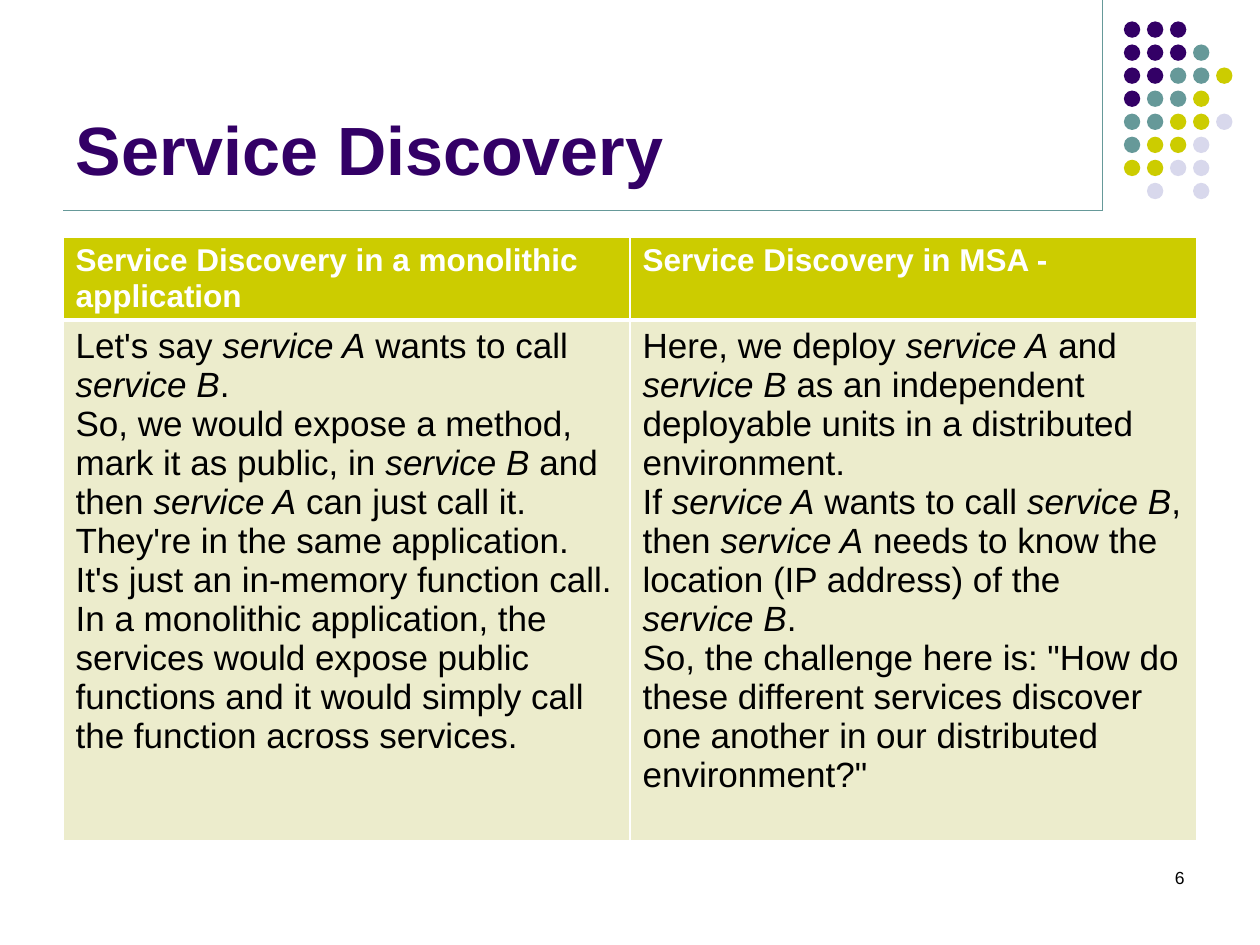
from dataclasses import dataclass

import pptx
import pptx.dml.color
import pptx.enum.shapes
import pptx.enum.text
import pptx.oxml
import pptx.oxml.ns
import pptx.util
from pptx.util import Inches


@dataclass(frozen=True)
class Theme:
    font: str = "Arial"
    purple: str = "330066"
    teal: str = "669999"
    lime: str = "CCCC00"
    lavender: str = "D8D8EC"
    pale_lime: str = "ECECCC"
    white: str = "FFFFFF"
    black: str = "000000"
    title_size: float = 39
    header_size: float = 18
    body_size: float = 20
    number_size: float = 10


@dataclass(frozen=True)
class TextStyle:
    size: float
    color: str
    bold: bool = False


@dataclass(frozen=True)
class Column:
    heading: str
    paragraphs: tuple[str, ...]


THEME = Theme()
TITLE = TextStyle(THEME.title_size, THEME.purple, True)
HEADER = TextStyle(THEME.header_size, THEME.white, True)
BODY = TextStyle(THEME.body_size, THEME.black)
NUMBER = TextStyle(THEME.number_size, THEME.black)

# Asterisks enclose italic words; a newline is a line break.
COLUMNS = (
    Column("Service Discovery in a monolithic application", (
        "Let's say *service A* wants to call *service B*.",
        "So, we would expose a method, mark it as public, in *service B* and then "
        "*service A* can just call it. They're in the same application. "
        "It's just an in-memory function call.",
        "In a monolithic application, the services would expose public functions "
        "and it would simply call the function across services.",
    )),
    Column("Service Discovery in MSA -", (
        "Here, we deploy *service A* and *service B* as an independent deployable "
        "units in a distributed environment.",
        "If *service A* wants to call *service B*, then *service A* needs to know "
        "the location (IP address) of the \n*service B*.",
        "So, the challenge here is: \"How do these different services discover one "
        "another in our distributed environment?\"",
    )),
)

# One letter per dot, a space where the grid is empty.
DOT_ROWS = ("PPP", "PPPT", "PPTTL", "PTTL", "TTLLV", "TLLV", "LLVV", " V V")
DOT_COLORS = {"P": THEME.purple, "T": THEME.teal, "L": THEME.lime, "V": THEME.lavender}
DOT_LEFT, DOT_TOP, DOT_SIZE, DOT_PITCH = 8.92, 0.17, 0.13, 0.183

RULE_X, RULE_Y, MARGIN = 8.75, 1.67, 0.5
ROW_HEIGHTS = (0.65, 4.13)


def rgb(color: str) -> pptx.dml.color.RGBColor:
    return pptx.dml.color.RGBColor.from_string(color)


def add_text(paragraph, text: str, style: TextStyle) -> None:
    """Add runs to a paragraph, italic between asterisks."""
    for index, piece in enumerate(text.split("*")):
        for line_index, line in enumerate(piece.split("\n")):
            if line_index:
                paragraph.add_line_break()
            if not line:
                continue
            run = paragraph.add_run()
            run.text = line
            run.font.name = THEME.font
            run.font.size = pptx.util.Pt(style.size)
            run.font.bold = style.bold
            run.font.italic = index % 2 == 1
            run.font.color.rgb = rgb(style.color)


def add_rule(slide, x1: float, y1: float, x2: float, y2: float) -> None:
    rule = slide.shapes.add_connector(
        pptx.enum.shapes.MSO_CONNECTOR.STRAIGHT,
        Inches(x1), Inches(y1), Inches(x2), Inches(y2))
    rule.line.color.rgb = rgb(THEME.teal)
    rule.line.width = pptx.util.Pt(0.75)
    rule._element.spPr.append(pptx.oxml.parse_xml(
        f"<a:effectLst {pptx.oxml.ns.nsdecls('a')}/>"))


def add_dots(slide) -> None:
    dots = slide.shapes.add_group_shape()
    for row, letters in enumerate(DOT_ROWS):
        for column, letter in enumerate(letters):
            if letter == " ":
                continue
            dot = dots.shapes.add_shape(
                pptx.enum.shapes.MSO_SHAPE.OVAL,
                Inches(DOT_LEFT + column * DOT_PITCH), Inches(DOT_TOP + row * DOT_PITCH),
                Inches(DOT_SIZE), Inches(DOT_SIZE))
            dot.shadow.inherit = False
            dot.fill.solid()
            dot.fill.fore_color.rgb = rgb(DOT_COLORS[letter])
            dot.line.fill.background()


def style_cell(cell, fill: str, top: float, bottom: float) -> None:
    """Fill a cell and give it white borders; top and bottom are in points."""
    for side, width in (("L", 1), ("R", 1), ("T", top), ("B", bottom)):
        cell._tc.get_or_add_tcPr().append(pptx.oxml.parse_xml(
            f"<a:ln{side} {pptx.oxml.ns.nsdecls('a')} w=\"{pptx.util.Pt(width)}\">"
            f"<a:solidFill><a:srgbClr val=\"{THEME.white}\"/></a:solidFill></a:ln{side}>"))
    cell.fill.solid()
    cell.fill.fore_color.rgb = rgb(fill)


def add_comparison(slide) -> None:
    table = slide.shapes.add_table(
        len(ROW_HEIGHTS), len(COLUMNS), Inches(MARGIN), Inches(1.88),
        Inches(9), Inches(sum(ROW_HEIGHTS))).table
    for row, height in zip(table.rows, ROW_HEIGHTS):
        row.height = Inches(height)
    for index, column in enumerate(COLUMNS):
        heading, body = table.cell(0, index), table.cell(1, index)
        style_cell(heading, THEME.lime, 1, 3)
        style_cell(body, THEME.pale_lime, 3, 1)
        add_text(heading.text_frame.paragraphs[0], column.heading, HEADER)
        for number, text in enumerate(column.paragraphs):
            frame = body.text_frame
            paragraph = frame.add_paragraph() if number else frame.paragraphs[0]
            add_text(paragraph, text, BODY)


def add_title(slide, text: str) -> None:
    title = slide.shapes.title
    title.left, title.top = Inches(MARGIN), Inches(0.13)
    title.width, title.height = Inches(8.25), Inches(1.42)
    title.text_frame.vertical_anchor = pptx.enum.text.MSO_ANCHOR.BOTTOM
    paragraph = title.text_frame.paragraphs[0]
    paragraph.alignment = pptx.enum.text.PP_ALIGN.LEFT
    add_text(paragraph, text, TITLE)


def add_slide_number(slide, number: str) -> None:
    frame = slide.shapes.add_textbox(
        Inches(7.17), Inches(6.83), Inches(2.33), Inches(0.5)).text_frame
    frame.word_wrap = True
    frame.paragraphs[0].alignment = pptx.enum.text.PP_ALIGN.RIGHT
    add_text(frame.paragraphs[0], number, NUMBER)


def main() -> None:
    deck = pptx.Presentation()
    deck.slide_width, deck.slide_height = Inches(10), Inches(7.5)
    slide = deck.slides.add_slide(deck.slide_layouts[5])
    add_rule(slide, RULE_X, 0, RULE_X, RULE_Y)
    add_dots(slide)
    add_rule(slide, MARGIN, RULE_Y, RULE_X, RULE_Y)
    add_title(slide, "Service Discovery")
    add_comparison(slide)
    add_slide_number(slide, "6")
    deck.save("out.pptx")


if __name__ == "__main__":
    main()
